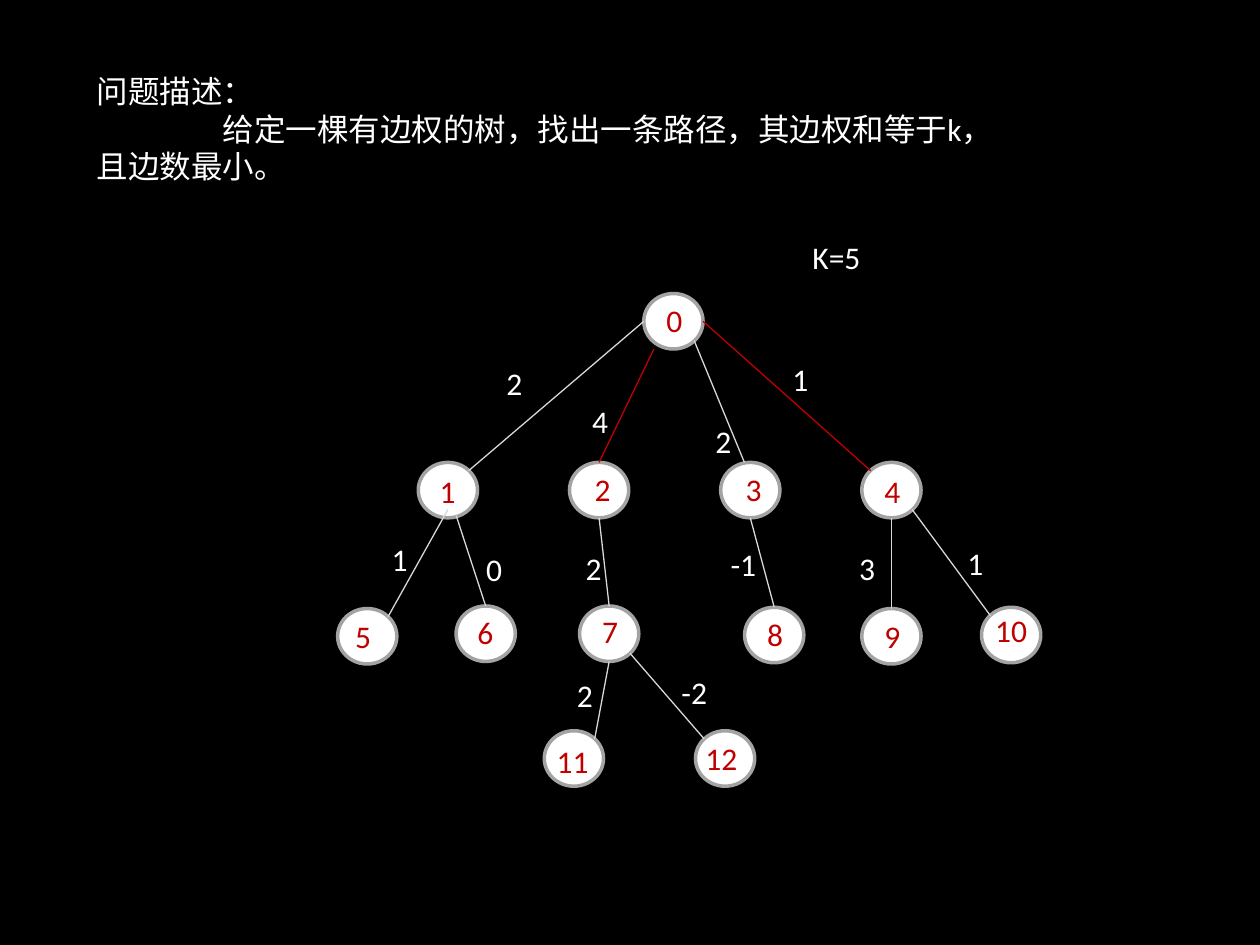
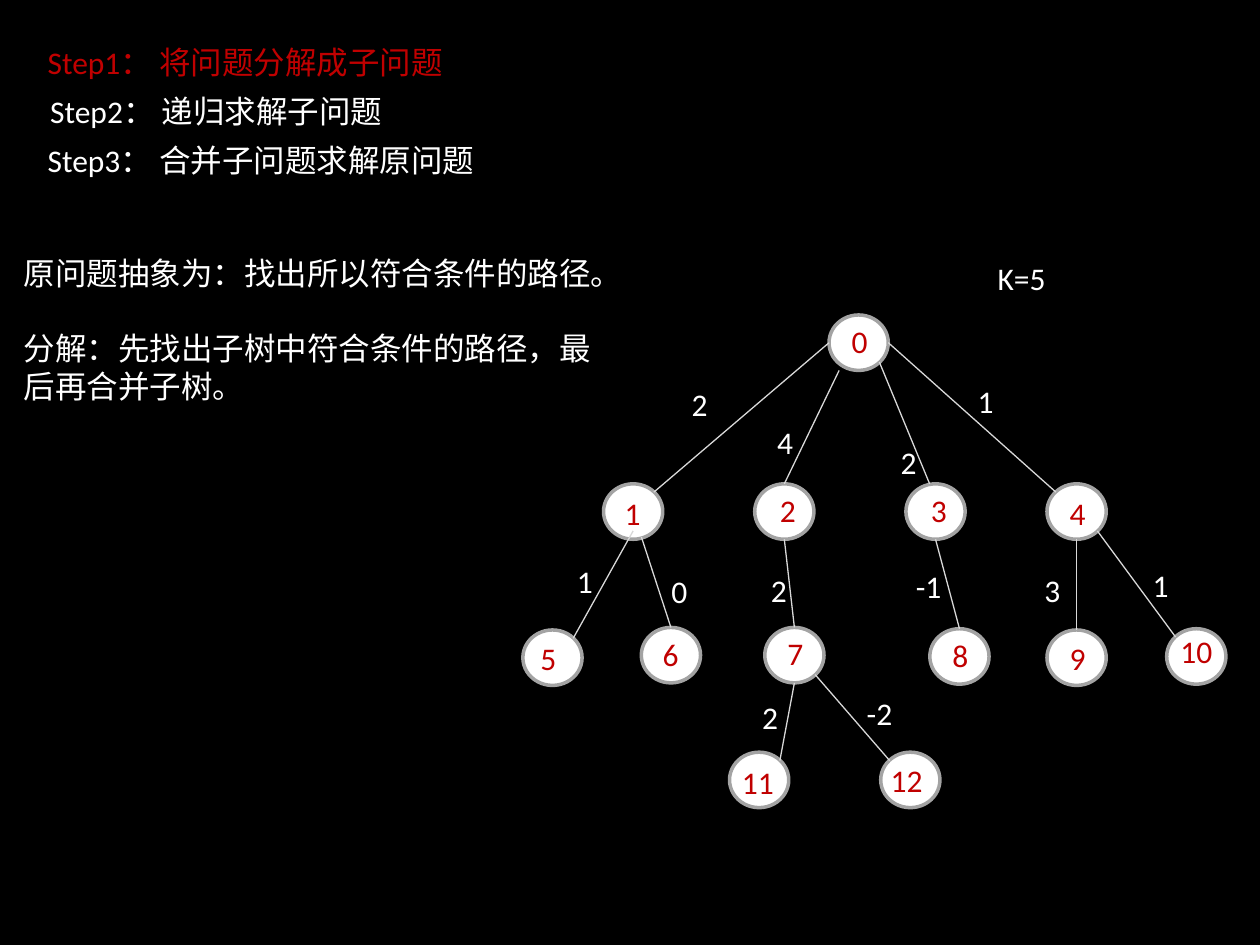
from lxml import etree
from pptx import Presentation
from pptx.dml.color import RGBColor
from pptx.enum.shapes import MSO_CONNECTOR as Conn, MSO_SHAPE as Shape
from pptx.enum.text import MSO_AUTO_SIZE as Fit
from pptx.oxml.ns import qn
from pptx.util import Inches, Pt

FONT = "Calibri"
COLORS = {"back": "000000", "text": "FFFFFF", "red": "C00000",
          "node": "FFFFFF", "ring": "A3A3A3", "edge": "D8D8D8"}

NODE_W, NODE_H = 0.47, 0.44
# Node: left, top, then left, top and width of its number
NODES = {
    0: (5.11, 2.33, 5.19, 2.34, 0.32),
    1: (3.32, 3.67, 3.39, 3.70, 0.32),
    2: (4.52, 3.67, 4.62, 3.68, 0.32),
    3: (5.72, 3.67, 5.82, 3.68, 0.24),
    4: (6.84, 3.67, 6.92, 3.70, 0.32),
    5: (2.68, 4.83, 2.72, 4.85, 0.32),
    6: (3.62, 4.81, 3.69, 4.82, 0.32),
    7: (4.60, 4.81, 4.68, 4.81, 0.32),
    8: (5.91, 4.82, 5.99, 4.83, 0.32),
    9: (6.84, 4.83, 6.92, 4.85, 0.32),
    10: (7.79, 4.82, 7.80, 4.80, 0.54),
    11: (4.32, 5.80, 4.32, 5.84, 0.56),
    12: (5.52, 5.80, 5.50, 5.82, 0.58),
}
# Where an edge meets a node, as fractions of the node's size
SITES = {
    "top": (0.5, 0), "left": (0, 0.5), "bottom": (0.5, 1), "right": (1, 0.5),
    "top left": (0.15, 0.15), "top right": (0.85, 0.15),
    "low left": (0.17, 1), "low right": (0.85, 0.85),
    "inner": (0.5, 0.85), "foot": (0.64, 0.96), "crown": (0.4, 0),
}
# Edge: parent, child, site on each, weight, left and top of the weight
EDGES = [
    (0, 1, "left", "top right", 2, 3.92, 2.84),
    (0, 2, "low left", "top", 4, 4.60, 3.14),
    (0, 3, "low right", "crown", 2, 5.58, 3.30),
    (0, 4, "right", "top left", 1, 6.19, 2.81),
    (1, 5, "inner", "top right", 1, 3.01, 4.24),
    (1, 6, "foot", "top", 0, 3.76, 4.32),
    (2, 7, "bottom", "top", 2, 4.55, 4.31),
    (3, 8, "bottom", "top", -1, 5.70, 4.28),
    (4, 9, "bottom", "top", 3, 6.72, 4.31),
    (4, 10, "low right", "top left", 1, 7.58, 4.27),
    (7, 11, "bottom", "top right", 2, 4.48, 5.32),
    (7, 12, "low right", "top left", -2, 5.31, 5.29),
]
STEPS = [
    (0.28, "Step1： 将问题分解成子问题", "red"),
    (0.30, "Step2： 递归求解子问题", "text"),
    (0.28, "Step3： 合并子问题求解原问题", "text"),
]


def rgb(name):
    return RGBColor.from_string(COLORS[name])


def add_tab(para, pos):
    """Set a left tab stop at pos inches."""
    tabs = etree.SubElement(para._p.get_or_add_pPr(), qn("a:tabLst"))
    etree.SubElement(tabs, qn("a:tab"), pos=str(Inches(pos)), algn="l")


def add_text(shapes, text, x, y, w, h=0.4, color="text", gap=0):
    """Add a text box; gap is the space in points before later paragraphs."""
    box = shapes.add_textbox(Inches(x), Inches(y), Inches(w), Inches(h))
    frame = box.text_frame
    frame.word_wrap = True
    frame.auto_size = Fit.SHAPE_TO_FIT_TEXT
    frame.text = text
    for i, para in enumerate(frame.paragraphs):
        if "\t" in para.text:
            add_tab(para, 1)
        if i and gap:
            para.space_before = Pt(gap)
        for run in para.runs:
            run.font.name = FONT
            run.font.size = Pt(18)
            run.font.color.rgb = rgb(color)


def add_node(shapes, x, y):
    node = shapes.add_shape(Shape.OVAL, Inches(x), Inches(y),
                            Inches(NODE_W), Inches(NODE_H))
    node.shadow.inherit = False
    node.fill.solid()
    node.fill.fore_color.rgb = rgb("node")
    node.line.color.rgb = rgb("ring")
    node.line.width = Pt(2)


def add_edge(shapes, start, end, color):
    ends = [Inches(v) for v in (*start, *end)]
    edge = shapes.add_connector(Conn.STRAIGHT, *ends)
    edge.line.color.rgb = rgb(color)
    edge.line.width = Pt(0.75)
    etree.SubElement(edge._element.spPr, qn("a:effectLst"))


def add_tree(slide, dx=0, dy=0, route=()):
    """Draw the weighted tree, moved by dx and dy, with route edges in red."""
    shapes = slide.shapes.add_group_shape().shapes

    def site(node, name):
        x, y = NODES[node][:2]
        fx, fy = SITES[name]
        return x + fx * NODE_W + dx, y + fy * NODE_H + dy

    for x, y, *_ in NODES.values():
        add_node(shapes, x + dx, y + dy)
    for top, low, out, into, *_ in EDGES:
        color = "red" if (top, low) in route else "edge"
        add_edge(shapes, site(top, out), site(low, into), color)
    for num, (_, _, x, y, w) in NODES.items():
        add_text(shapes, str(num), x + dx, y + dy, w, color="red")
    for *_, weight, x, y in EDGES:
        add_text(shapes, str(weight), x + dx, y + dy, 0.55)
    add_text(shapes, "K=5", 6.35 + dx, 1.84 + dy, 1.06)


def add_steps(slide):
    shapes = slide.shapes.add_group_shape().shapes
    for i, (x, text, color) in enumerate(STEPS):
        add_text(shapes, text, x, 0.29 + 0.39 * i, 4.72, color=color)


def main():
    prs = Presentation()
    prs.slide_width, prs.slide_height = Inches(10), Inches(7.5)
    fill = prs.slide_master.background.fill
    fill.solid()
    fill.fore_color.rgb = rgb("back")
    blank = prs.slide_layouts[6]

    task = prs.slides.add_slide(blank)
    add_text(task.shapes, "问题描述：\n\t给定一棵有边权的树，找出一条路径，"
             "其边权和等于k，且边数最小。", 0.67, 0.52, 7.32, 1.01)
    add_tree(task, route={(0, 2), (0, 4)})

    split = prs.slides.add_slide(blank)
    add_steps(split)
    add_tree(split, 1.47, 0.17)
    add_text(split.shapes, "原问题抽象为：找出所以符合条件的路径。\n"
             "分解：先找出子树中符合条件的路径，最后再合并子树。",
             0.09, 1.97, 4.81, 1.31, gap=21)

    prs.save("out.pptx")


if __name__ == "__main__":
    main()
